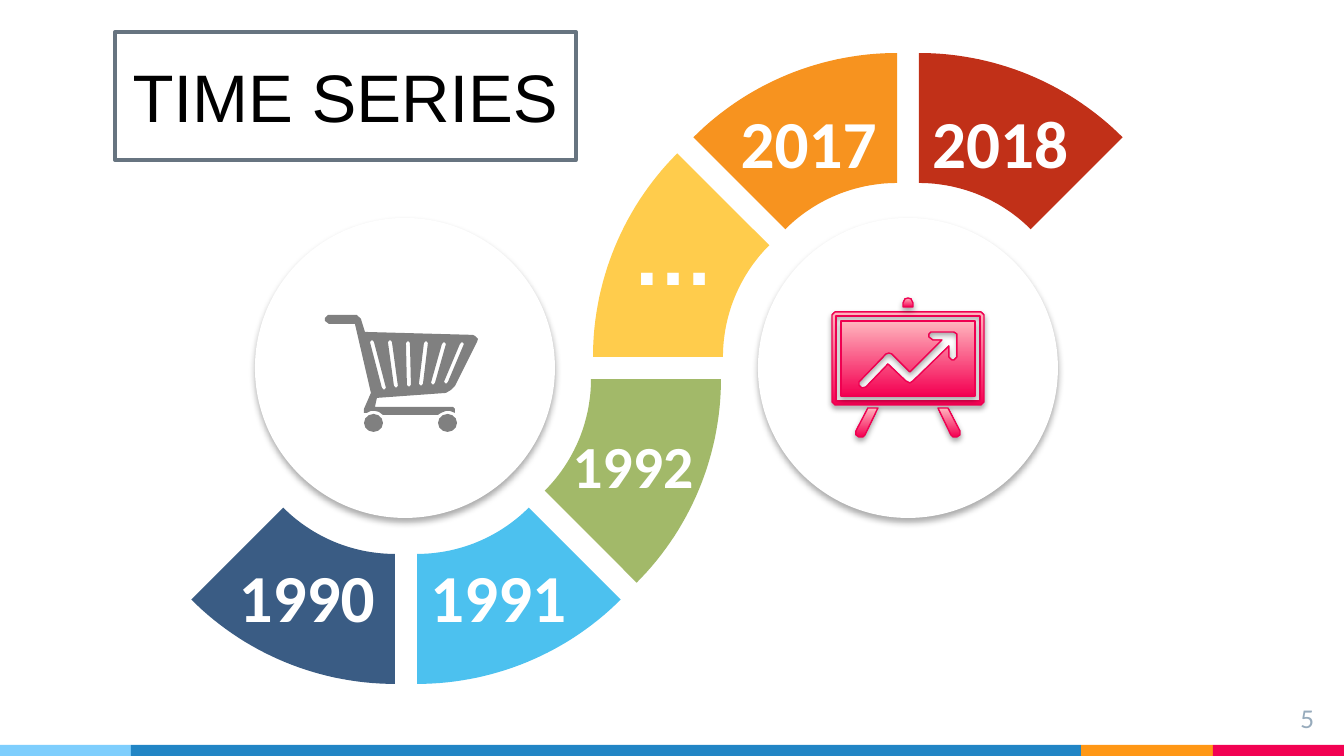
import math

import pptx
import pptx.dml.color
import pptx.enum.shapes
import pptx.enum.text
import pptx.oxml
import pptx.oxml.ns
import pptx.util

PX = 914400 / 134.4
SHAPE = pptx.enum.shapes.MSO_SHAPE
ALIGN = pptx.enum.text.PP_ALIGN
ANCHOR = pptx.enum.text.MSO_ANCHOR

COLORS = {
    "white": "FFFFFF", "black": "000000", "frame": "677480", "number": "97ABBC",
    "sky": "7ECEFD", "blue": "2185C5", "amber": "FF9715", "pink": "F20253",
    "navy": "3A5C84", "cyan": "4CC1EF", "green": "A2B969",
    "yellow": "FFCC4C", "orange": "F7931F", "red": "C13018",
    "cart": "808080", "board_dark": "F40052", "board_light": "FFB6BE",
    "board_line": "EF0051",
}


def emu(px):
    return pptx.util.Emu(round(px * PX))


def rgb(name):
    return pptx.dml.color.RGBColor.from_string(COLORS[name])


def style(sp, fill, line=None, width=1):
    sp.shadow.inherit = False
    sp.fill.solid()
    sp.fill.fore_color.rgb = rgb(fill)
    if line:
        sp.line.color.rgb = rgb(line)
        sp.line.width = pptx.util.Pt(width)
    else:
        sp.line.fill.background()


def add_preset(shapes, kind, box, fill, line=None, width=1):
    sp = shapes.add_shape(kind, *map(emu, box))
    style(sp, fill, line, width)
    return sp


def add_outline(shapes, contours, x=0, y=0):
    """Draw closed contours, offset by (x, y), as one freeform."""
    placed = [[(emu(x + a), emu(y + b)) for a, b in c] for c in contours]
    builder = shapes.build_freeform(*placed[0][0], scale=1.0)
    for i, contour in enumerate(placed):
        if i:
            builder.move_to(*contour[0])
        builder.add_line_segments(contour[1:], close=True)
    return builder.convert_to_shape()


def add_shadow(sp, alpha, blur, dist):
    effects = sp._element.spPr.find(pptx.oxml.ns.qn("a:effectLst"))
    effects.append(pptx.oxml.parse_xml(
        f'<a:outerShdw {pptx.oxml.ns.nsdecls("a")} blurRad="{round(blur * 12700)}" '
        f'dist="{round(dist * 12700)}" dir="5400000" algn="t" rotWithShape="0">'
        f'<a:srgbClr val="{COLORS["black"]}"><a:alpha val="{alpha * 1000}"/></a:srgbClr>'
        '</a:outerShdw>'))


def set_text(sp, text, size, font="Calibri", color="white", bold=False,
             align=ALIGN.CENTER, anchor=ANCHOR.MIDDLE, insets=(13, 7, 13, 7), wrap=True):
    tf = sp.text_frame
    tf.word_wrap = wrap
    tf.vertical_anchor = anchor
    tf.margin_left, tf.margin_top, tf.margin_right, tf.margin_bottom = map(emu, insets)
    p = tf.paragraphs[0]
    p.alignment = align
    r = p.add_run()
    r.text = text
    r.font.size = pptx.util.Pt(size)
    r.font.name = font
    r.font.bold = bold
    r.font.color.rgb = rgb(color)


def add_footer(s, x, y, w, h):
    edges = [0, 131, 1081, 1213, w]
    for left, right, color in zip(edges, edges[1:], ("sky", "blue", "amber", "pink")):
        add_preset(s.shapes, SHAPE.RECTANGLE, (x + left, y, right - left, h), color)
    number = s.shapes.add_textbox(*map(emu, (x + 1246, y - 54, 81, 46)))
    set_text(number, "5", 13, font="Lato", color="number", align=ALIGN.RIGHT,
             anchor=ANCHOR.TOP, insets=(13, 13, 13, 13))


def add_title(s, x, y, w, h):
    sp = add_preset(s.shapes, SHAPE.RECTANGLE, (x, y, w, h), "white", "frame", 2)
    set_text(sp, "TIME SERIES", 36, font="Arial", color="black", wrap=False)


def add_segment(s, cx, cy, start, color):
    """Eighth of a ring, clockwise from the start angle in degrees."""
    outer, inner, steps = 288, 158, 30

    def arc(radius):
        angles = [math.radians(start + 45 * i / steps) for i in range(steps + 1)]
        return [(cx + radius * math.cos(a), cy + radius * math.sin(a)) for a in angles]

    sp = add_outline(s.shapes, [arc(outer) + arc(inner)[::-1]])
    style(sp, color)
    return sp


def add_timeline(s, x, y):
    wide_left, wide_right = (40, 7, 13, 7), (13, 7, 54, 7)
    # Centre of each ring, start angle, colour, label, size, insets
    segments = [
        (242, 326, 0, "green", "1992", 32, (13, 7, 13, 40)),
        (226, 343, 45, "cyan", "1991", 36, wide_right),
        (204, 343, 90, "navy", "1990", 36, wide_left),
        (728, 288, -90, "red", "2018", 36, wide_right),
        (690, 304, 180, "yellow", None, 0, None),
        (706, 288, -135, "orange", "2017", 36, wide_left),
    ]
    for cx, cy, start, color, label, size, insets in segments:
        sp = add_segment(s, x + cx, y + cy, start, color)
        if label:
            set_text(sp, label, size, bold=True, insets=insets)
    dots = s.shapes.add_textbox(*map(emu, (x + 429, y + 143, 80, 113)))
    set_text(dots, "…", 44, font="Arial", bold=True, align=ALIGN.LEFT,
             anchor=ANCHOR.TOP, wrap=False)


def add_disc(s, x, y, size):
    sp = add_preset(s.shapes, SHAPE.OVAL, (x, y, size, size), "white")
    add_shadow(sp, 32, 3.5, 2.2)


def add_board(s, x, y, w):
    def chamfered(l, t, r, b, c):
        return [(l + c, t), (r - c, t), (r, t + c), (r, b - c),
                (r - c, b), (l + c, b), (l, b - c), (l, t + c)]

    def rectangle(l, t, r, b):
        return [(l, t), (l, b), (r, b), (r, t)]

    arrow = [(122, 34), (125, 36), (125, 59), (122, 62), (120, 62), (117, 59),
             (117, 48), (81, 83), (78, 85), (74, 83), (56, 66), (34, 89), (30, 90),
             (27, 87), (27, 84), (54, 56), (57, 55), (60, 56), (78, 74), (110, 42),
             (101, 42), (97, 39), (97, 36), (99, 34)]
    leg = [(36, 110), (24, 133), (24, 137), (27, 139), (31, 139), (33, 137), (46, 110)]
    knob = [(76, 0), (73, 1), (71, 5), (71, 9), (81, 9), (81, 5), (79, 1)]
    parts = [
        [chamfered(0, 14, w, 107, 3), rectangle(4, 18, w - 4, 103)],
        [knob],
        [leg],
        [[(w - a, b) for a, b in leg]],
        [rectangle(9, 23, w - 9, 98), arrow],
    ]
    group = s.shapes.add_group_shape()
    for contours in parts:
        sp = add_outline(group.shapes, contours, x, y)
        style(sp, "board_dark", "board_line", 0.75)
        sp.fill.gradient()
        sp.fill.gradient_angle = 90
        for stop, color in zip(sp.fill.gradient_stops, ("board_dark", "board_light")):
            stop.color.rgb = rgb(color)
        add_shadow(sp, 35, 3.1, 1.8)


def add_cart(s, x, y):
    body = [(3, 0), (0, 3), (0, 6), (4, 9), (30, 9), (46, 78), (39, 94), (39, 98),
            (42, 98), (46, 96), (50, 96), (54, 97), (58, 100), (113, 100), (116, 98),
            (121, 96), (125, 96), (130, 98), (130, 94), (128, 92), (50, 92), (52, 83),
            (121, 78), (126, 75), (130, 71), (152, 27), (153, 24), (150, 21),
            (148, 20), (40, 17), (36, 4), (32, 0)]
    # Top and bottom of each slot in the basket
    slots = [(47, 25, 59, 75), (65, 25, 71, 73), (83, 26, 84, 72),
             (101, 26, 96, 71), (119, 27, 108, 70), (137, 27, 121, 69)]
    holes = [[(a - 2, b + 2), (a, b), (a + 2, b + 2), (c + 2, d - 2), (c, d), (c - 2, d - 2)]
             for a, b, c, d in slots]
    group = s.shapes.add_group_shape()
    for left in (39, 113):
        add_preset(group.shapes, SHAPE.OVAL, (x + left, y + 99, 19, 18), "cart")
    style(add_outline(group.shapes, [body] + holes, x, y), "cart")


def main():
    prs = pptx.Presentation()
    prs.slide_width, prs.slide_height = emu(1344), emu(756)
    s = prs.slides.add_slide(prs.slide_layouts[6])
    add_footer(s, 0, 745, 1344, 11)
    add_disc(s, 758, 218, 300)
    add_disc(s, 255, 218, 300)
    add_timeline(s, 191, 53)
    add_title(s, 115, 32, 461, 128)
    add_board(s, 832, 298, 152)
    add_cart(s, 325, 315)
    prs.save("out.pptx")


if __name__ == "__main__":
    main()
